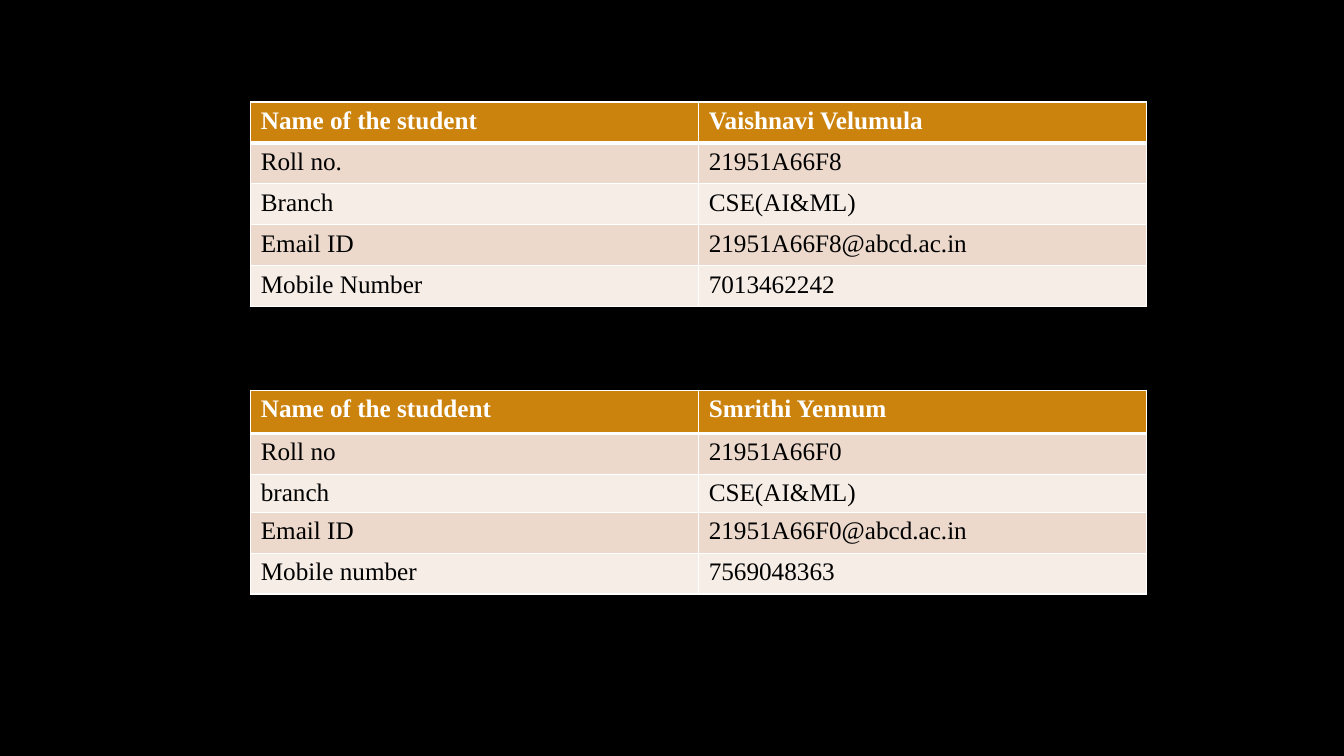
from dataclasses import dataclass

from lxml import etree
from pptx import Presentation
from pptx.dml.color import RGBColor
from pptx.oxml.ns import qn
from pptx.util import Cm, Pt

BLANK_LAYOUT = 6


@dataclass(frozen=True)
class Theme:
    font: str = "Times New Roman"
    text_size: int = 18
    background: str = "000000"
    header_fill: str = "CC830E"
    header_text: str = "FFFFFF"
    body_text: str = "000000"
    bands: tuple = ("ECD9CC", "F6EDE7")
    border: str = "FFFFFF"
    thin: int = 1
    thick: int = 3


class SlideBuilder:
    def __init__(self, slide, theme):
        self.slide = slide
        self.theme = theme

    def background(self):
        fill = self.slide.background.fill
        fill.solid()
        fill.fore_color.rgb = RGBColor.from_string(self.theme.background)

    def student_table(self, top, row_heights, details):
        theme = self.theme
        left, column_width = 6.32, 11.29
        frame = self.slide.shapes.add_table(
            len(details), 2, Cm(left), Cm(top),
            Cm(2 * column_width), Cm(sum(row_heights)))
        table = frame.table
        for column in table.columns:
            column.width = Cm(column_width)
        for index, (height, entry) in enumerate(zip(row_heights, details)):
            table.rows[index].height = Cm(height)
            for cell, text in zip(table.rows[index].cells, entry):
                self.borders(cell, index)
                is_header = index == 0
                fill = theme.header_fill if is_header else theme.bands[(index - 1) % 2]
                cell.fill.solid()
                cell.fill.fore_color.rgb = RGBColor.from_string(fill)
                self.cell_text(cell, text, is_header)

    def cell_text(self, cell, text, is_header):
        theme = self.theme
        run = cell.text_frame.paragraphs[0].add_run()
        run.text = text
        run.font.name = theme.font
        run.font.size = Pt(theme.text_size)
        run.font.bold = is_header
        color = theme.header_text if is_header else theme.body_text
        run.font.color.rgb = RGBColor.from_string(color)

    def borders(self, cell, row_index):
        # The rule under the header is shared by the first two rows
        theme = self.theme
        widths = {
            "a:lnL": theme.thin,
            "a:lnR": theme.thin,
            "a:lnT": theme.thick if row_index == 1 else theme.thin,
            "a:lnB": theme.thick if row_index == 0 else theme.thin,
        }
        properties = cell._tc.get_or_add_tcPr()
        for side, width in widths.items():
            line = etree.SubElement(properties, qn(side), w=str(Pt(width)))
            solid = etree.SubElement(line, qn("a:solidFill"))
            etree.SubElement(solid, qn("a:srgbClr"), val=theme.border)


def main():
    presentation = Presentation()
    presentation.slide_width = Cm(33.87)
    presentation.slide_height = Cm(19.05)
    slide = presentation.slides.add_slide(presentation.slide_layouts[BLANK_LAYOUT])
    builder = SlideBuilder(slide, Theme())
    builder.background()

    # First student
    builder.student_table(2.57, [1.03] * 5, [
        ("Name of the student", "Vaishnavi Velumula"),
        ("Roll no.", "21951A66F8"),
        ("Branch", "CSE(AI&ML)"),
        ("Email ID", "21951A66F8@abcd.ac.in"),
        ("Mobile Number", "7013462242"),
    ])

    # Second student
    builder.student_table(9.83, [1.09, 1.03, 0.96, 1.03, 1.03], [
        ("Name of the studdent", "Smrithi Yennum"),
        ("Roll no", "21951A66F0"),
        ("branch", "CSE(AI&ML)"),
        ("Email ID", "21951A66F0@abcd.ac.in"),
        ("Mobile number", "7569048363"),
    ])

    presentation.save("out.pptx")


if __name__ == "__main__":
    main()
